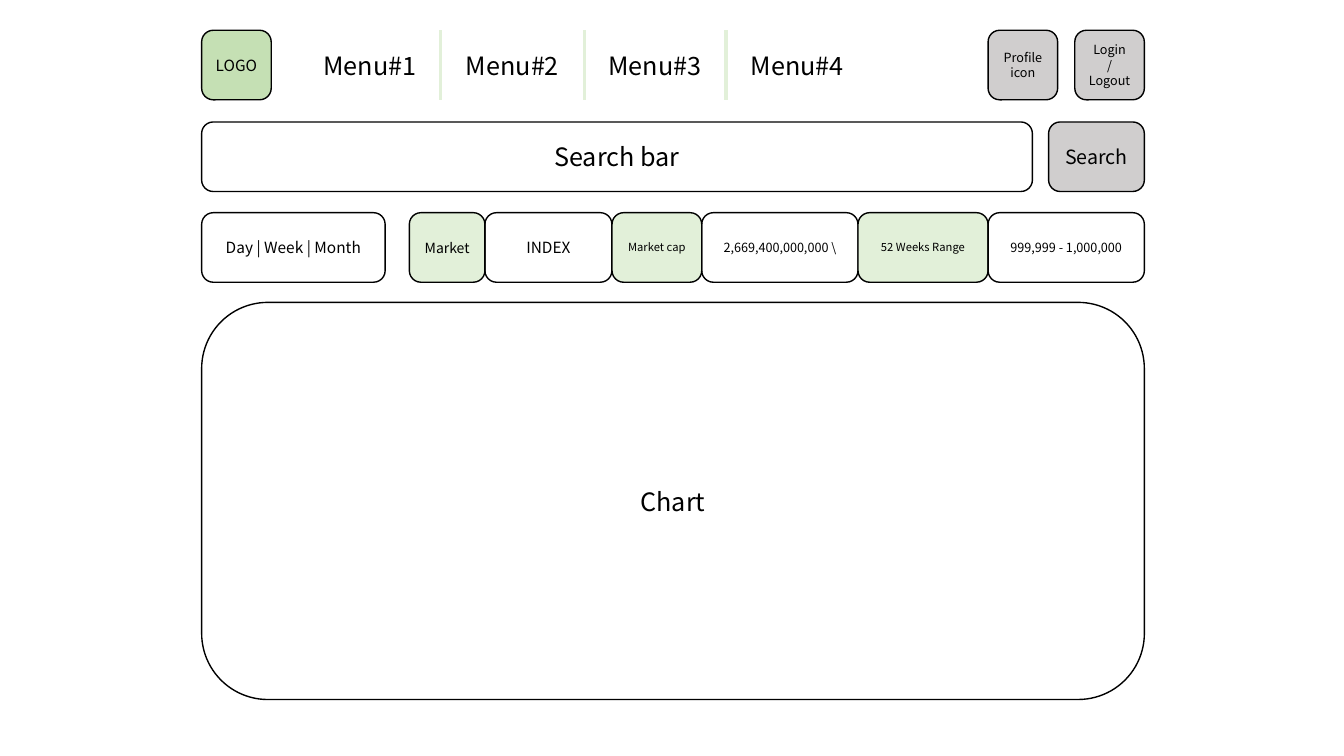
from dataclasses import dataclass
from itertools import accumulate

from lxml.etree import SubElement
from pptx import Presentation
from pptx.dml.color import RGBColor
from pptx.enum.shapes import MSO_CONNECTOR, MSO_SHAPE
from pptx.enum.text import MSO_ANCHOR, MSO_AUTO_SIZE, PP_ALIGN
from pptx.oxml.ns import qn
from pptx.slide import Slide
from pptx.text.text import TextFrame
from pptx.util import Inches, Pt

FONT = "Noto Sans CJK KR"
BLACK, GREEN, PALE_GREEN, GREY = "000000", "C5E0B4", "E2F0D9", "D0CECE"

# Page grid, in inches
LEFT, RIGHT = 2.0, 11.35
HEADER, SEARCH, FILTERS, CHART = 0.3, 1.21, 2.11, 3.0
ROW_HEIGHT = 0.69
STRIP_LEFT = 4.06
MENU_LEFT, MENU_PITCH = 3.11, 1.413
DIVIDERS = (4.37, 5.8, 7.2)


@dataclass(frozen=True)
class Panel:
    label: str
    left: float
    top: float
    width: float
    size: int
    fill: str | None = None
    height: float = ROW_HEIGHT


@dataclass(frozen=True)
class StripCell:
    label: str
    width: float
    size: int
    fill: str | None = None


PANELS = (
    Panel("LOGO", LEFT, HEADER, ROW_HEIGHT, 11, GREEN),
    Panel("Search bar", LEFT, SEARCH, 8.24, 18),
    Panel("Search", RIGHT - 0.95, SEARCH, 0.95, 14, GREY),
    Panel("Profile icon", 9.8, HEADER, ROW_HEIGHT, 9, GREY),
    Panel("Login\n/\nLogout", RIGHT - ROW_HEIGHT, HEADER, ROW_HEIGHT, 9, GREY),
    Panel("Chart", LEFT, CHART, RIGHT - LEFT, 18, height=3.94),
    Panel("Day | Week | Month", LEFT, FILTERS, 1.82, 11),
)

STRIP = (
    StripCell("Market", 0.75, 10, PALE_GREEN),
    StripCell("INDEX", 1.26, 11),
    StripCell("Market cap", 0.89, 8, PALE_GREEN),
    StripCell("2,669,400,000,000 \\", 1.55, 9),
    StripCell("52 Weeks Range", 1.29, 8, PALE_GREEN),
    StripCell("999,999 - 1,000,000", 1.55, 9),
)


def color(value: str) -> RGBColor:
    return RGBColor.from_string(value)


def write(frame: TextFrame, label: str, size: int, align: PP_ALIGN) -> None:
    frame.text = label
    for paragraph in frame.paragraphs:
        paragraph.alignment = align
        for run in paragraph.runs:
            run.font.name = FONT
            run.font.size = Pt(size)
            run.font.color.rgb = color(BLACK)


def add_panel(slide: Slide, panel: Panel) -> None:
    box = slide.shapes.add_shape(
        MSO_SHAPE.ROUNDED_RECTANGLE, Inches(panel.left), Inches(panel.top),
        Inches(panel.width), Inches(panel.height))
    box.shadow.inherit = False
    if panel.fill:
        box.fill.solid()
        box.fill.fore_color.rgb = color(panel.fill)
    else:
        box.fill.background()
    box.line.color.rgb = color(BLACK)
    box.line.width = Pt(1)
    box.text_frame.word_wrap = True
    box.text_frame.vertical_anchor = MSO_ANCHOR.MIDDLE
    write(box.text_frame, panel.label, panel.size, PP_ALIGN.CENTER)


def add_strip(slide: Slide) -> None:
    """Lay the market figures edge to edge along the filter row."""
    lefts = accumulate((cell.width for cell in STRIP), initial=STRIP_LEFT)
    for left, cell in zip(lefts, STRIP):
        add_panel(slide, Panel(cell.label, left, FILTERS, cell.width, cell.size, cell.fill))


def add_menu(slide: Slide, index: int) -> None:
    entry = slide.shapes.add_textbox(
        Inches(MENU_LEFT + index * MENU_PITCH), Inches(0.45), Inches(1.15), Inches(0.4))
    entry.text_frame.word_wrap = False
    entry.text_frame.auto_size = MSO_AUTO_SIZE.SHAPE_TO_FIT_TEXT
    write(entry.text_frame, f"Menu#{index + 1}", 18, PP_ALIGN.LEFT)


def add_divider(slide: Slide, x: float) -> None:
    divider = slide.shapes.add_connector(
        MSO_CONNECTOR.STRAIGHT, Inches(x), Inches(HEADER),
        Inches(x), Inches(HEADER + ROW_HEIGHT))
    divider.line.color.rgb = color(PALE_GREEN)
    divider.line.width = Pt(2.25)
    SubElement(divider.element.spPr, qn("a:effectLst"))


def main() -> None:
    deck = Presentation()
    deck.slide_width, deck.slide_height = Inches(13.33), Inches(7.5)
    slide = deck.slides.add_slide(deck.slide_layouts[6])
    for panel in PANELS:
        add_panel(slide, panel)
    add_strip(slide)
    for index in range(4):
        add_menu(slide, index)
    for x in DIVIDERS:
        add_divider(slide, x)
    deck.save("out.pptx")


if __name__ == "__main__":
    main()
